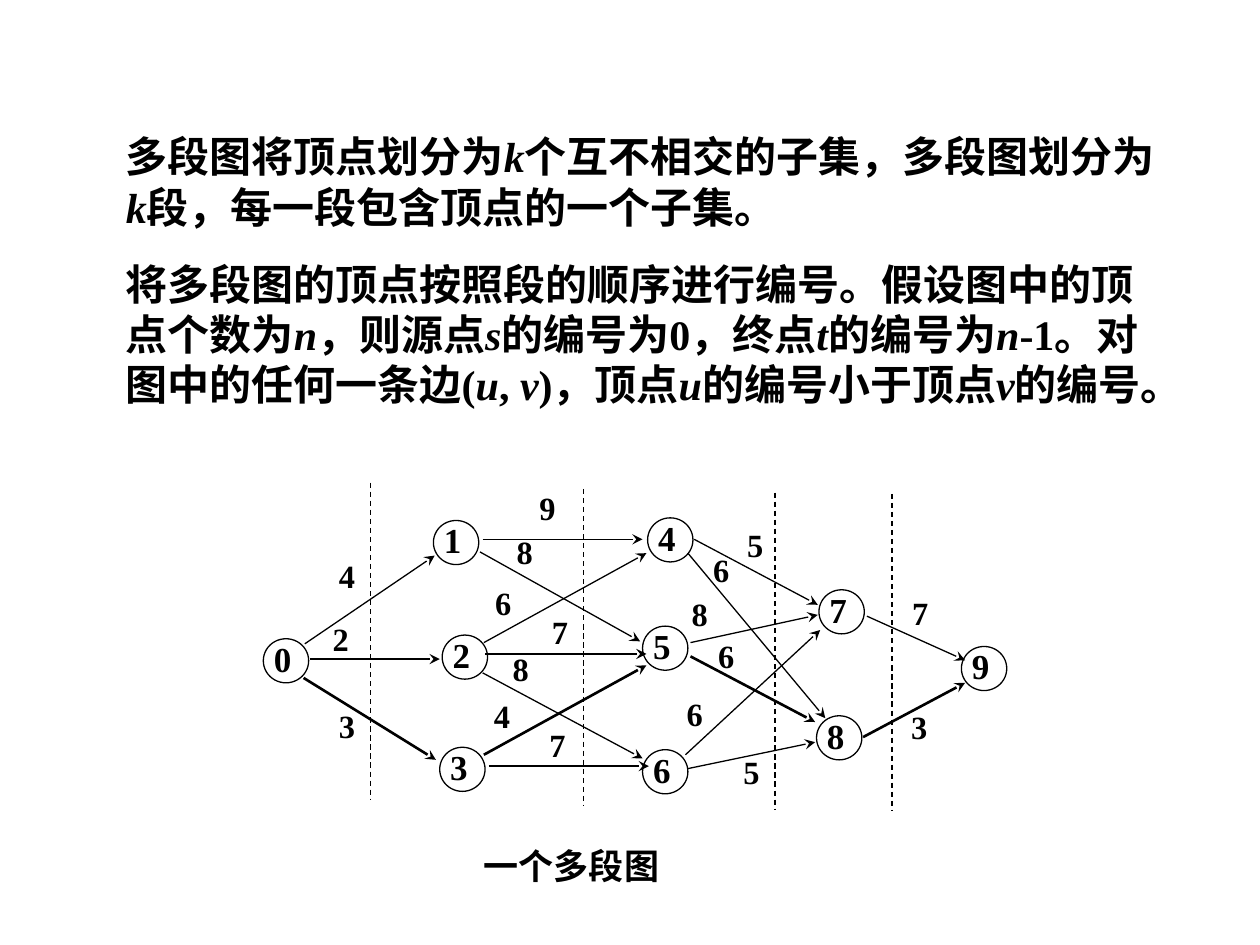
from dataclasses import dataclass

from lxml import etree
from pptx import Presentation
from pptx.dml.color import RGBColor
from pptx.enum import dml, shapes, text
from pptx.oxml import ns
from pptx.util import Pt


@dataclass(frozen=True)
class Theme:
    font: str = "Times New Roman"
    ink: RGBColor = RGBColor(0, 0, 0)
    body_size: float = 24
    node_size: float = 20
    weight_size: float = 18.5
    thin: float = 0.75
    thick: float = 1.5


THEME = Theme()
NODE_WIDTH, NODE_HEIGHT = 25.9, 25.2
WEIGHT_WIDTH, WEIGHT_HEIGHT = 14.4, 16.6
DIVIDER_LENGTH = 181.4

# Italic parts stand between asterisks
BODY = (
    "多段图将顶点划分为*k*个互不相交的子集，多段图划分为*k*段，每一段包含顶点的一个子集。",
    "将多段图的顶点按照段的顺序进行编号。假设图中的顶点个数为*n*，则源点*s*的编号为0，"
    "终点*t*的编号为*n*-1。对图中的任何一条边(*u*, *v*)，顶点*u*的编号小于顶点*v*的编号。",
)

# Left and top of each vertex, in order of its number
NODES = (
    (0.5, 89), (97.7, 21.4), (102.7, 86.9), (101.3, 151), (220.1, 19.9),
    (217.2, 81.8), (217.2, 152.4), (318, 61), (316.6, 133), (399.4, 93.4),
)

# Start, end, weight, place of the weight, on the shortest path
EDGES = (
    ((24.2, 91.9), (98.4, 41.5), 4, (43.7, 48), False),
    ((27.1, 100.6), (101.3, 100.6), 2, (40.1, 84), False),
    ((23.5, 111.4), (99.1, 158.2), 3, (43.7, 133.7), True),
    ((125.8, 32.2), (217.2, 32.2), 9, (158.2, 9.1), False),
    ((124.3, 39.4), (215.8, 90.5), 8, (145.2, 34.3), False),
    ((126.5, 91.2), (219.4, 40.1), 6, (133, 63.1), False),
    ((127.2, 97.7), (219.4, 97.7), 7, (165.4, 79.7), False),
    ((125.8, 108.5), (217.2, 157.4), 8, (143, 101.3), False),
    ((126.5, 155.3), (219.4, 104.2), 4, (132.2, 127.9), True),
    ((129.4, 161.8), (220.8, 161.8), 7, (163.9, 144.5), False),
    ((246.7, 32.2), (317.3, 69.6), 5, (277, 30), False),
    ((243.1, 40.1), (321.6, 134.4), 6, (257.5, 44.4), False),
    ((244.6, 91.2), (317.3, 75.4), 8, (245.3, 69.6), False),
    ((244.6, 99.1), (315.8, 136.6), 6, (260.4, 93.4), True),
    ((241.7, 155.3), (318.7, 84), 6, (242.4, 126.5), False),
    ((243.1, 163.2), (315.8, 148.1), 5, (274.8, 159.6), False),
    ((345.4, 76.1), (401.5, 101.3), 7, (371.3, 68.9), False),
    ((343.2, 145.2), (401.5, 114.2), 3, (370.6, 134.4), True),
)

# Top end of each line between stages
DIVIDERS = ((61.7, -0.2), (183.4, 3.4), (292.8, 5.5), (359.8, 6.2))


def write_text(shape, paragraphs, size, insets=(0, 0, 0, 0), align=None,
               line_spacing=None, space_before=None):
    frame = shape.text_frame
    frame.word_wrap = True
    frame.vertical_anchor = text.MSO_ANCHOR.TOP
    (frame.margin_left, frame.margin_top,
     frame.margin_right, frame.margin_bottom) = map(Pt, insets)
    for index, content in enumerate(paragraphs):
        paragraph = frame.add_paragraph() if index else frame.paragraphs[0]
        paragraph.alignment = align
        paragraph.line_spacing = line_spacing
        if space_before is not None:
            paragraph.space_before = Pt(space_before)
        for part_index, part in enumerate(content.split("*")):
            run = paragraph.add_run()
            run.text = part
            run.font.name = THEME.font
            run.font.size = Pt(size)
            run.font.bold = True
            run.font.italic = part_index % 2 == 1
            run.font.color.rgb = THEME.ink


def add_text(slide, box, paragraphs, size, **text_format):
    shape = slide.shapes.add_textbox(*map(Pt, box))
    write_text(shape, paragraphs, size, **text_format)
    return shape


def add_line(slide, start, end, width, arrow=False, dashed=False):
    line = slide.shapes.add_connector(
        shapes.MSO_CONNECTOR.STRAIGHT, *map(Pt, (*start, *end)))
    line.line.color.rgb = THEME.ink
    line.line.width = Pt(width)
    if dashed:
        line.line.dash_style = dml.MSO_LINE.DASH
    properties = line.line._get_or_add_ln()
    if arrow:
        etree.SubElement(properties, ns.qn("a:tailEnd"), type="stealth")
    etree.SubElement(properties.getparent(), ns.qn("a:effectLst"))


def add_node(slide, left, top, number):
    node = slide.shapes.add_shape(
        shapes.MSO_SHAPE.OVAL, *map(Pt, (left, top, NODE_WIDTH, NODE_HEIGHT)))
    node.shadow.inherit = False
    node.fill.background()
    node.line.color.rgb = THEME.ink
    node.line.width = Pt(THEME.thin)
    write_text(node, [str(number)], THEME.node_size, insets=(2.2, 0, 0, 0),
               align=text.PP_ALIGN.JUSTIFY, line_spacing=0.8)


def add_explanation(slide, box):
    shape = add_text(slide, box, BODY, THEME.body_size,
                     insets=(7.2, 3.6, 7.2, 3.6), space_before=15)
    shape.text_frame.auto_size = text.MSO_AUTO_SIZE.SHAPE_TO_FIT_TEXT


def add_graph(slide, left, top):
    def place(point):
        return left + point[0], top + point[1]

    # Vertices
    for number, corner in enumerate(NODES):
        add_node(slide, *place(corner), number)

    # Weighted edges
    for start, end, weight, corner, on_path in EDGES:
        width = THEME.thick if on_path else THEME.thin
        add_line(slide, place(start), place(end), width, arrow=True)
        add_text(slide, (*place(corner), WEIGHT_WIDTH, WEIGHT_HEIGHT),
                 [str(weight)], THEME.weight_size,
                 align=text.PP_ALIGN.JUSTIFY, line_spacing=0.7)

    # Lines between stages
    for x, y in DIVIDERS:
        add_line(slide, place((x, y)), place((x, y + DIVIDER_LENGTH)),
                 THEME.thin, dashed=True)

    # Caption
    add_text(slide, (*place((126.5, 211.4)), 188.5, 19.4), ["一个多段图"],
             THEME.node_size, align=text.PP_ALIGN.JUSTIFY, line_spacing=0.8)


def main():
    presentation = Presentation()
    presentation.slide_width, presentation.slide_height = Pt(720), Pt(540)
    slide = presentation.slides.add_slide(presentation.slide_layouts[6])
    add_graph(slide, 150, 276)
    add_explanation(slide, (64.8, 71.3, 607, 195.1))
    presentation.save("out.pptx")


if __name__ == "__main__":
    main()
